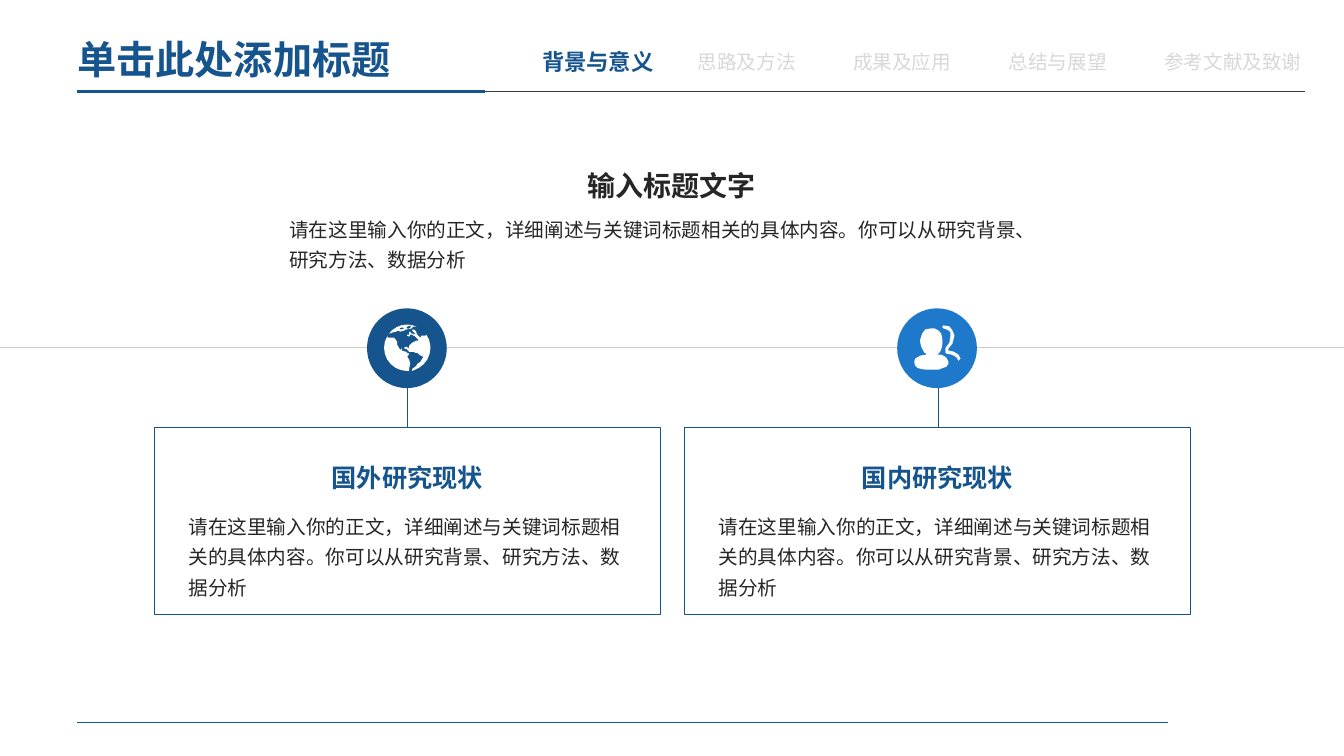
"""Builds a research background slide with two linked cards."""
from pptx import Presentation
from pptx.dml.color import RGBColor
from pptx.enum.shapes import MSO_CONNECTOR, MSO_SHAPE
from pptx.enum.text import MSO_ANCHOR, MSO_AUTO_SIZE, PP_ALIGN
from pptx.oxml.xmlchemy import OxmlElement
from pptx.util import Cm, Pt

NAVY = RGBColor(0x15, 0x54, 0x8D)
BLUE = RGBColor(0x1F, 0x79, 0xCA)
INK = RGBColor(0x26, 0x26, 0x26)
SLATE = RGBColor(0x37, 0x3D, 0x43)
GREY = RGBColor(0xCC, 0xCC, 0xCC)
PALE = RGBColor(0xD8, 0xD8, 0xD8)
WHITE = RGBColor(0xFF, 0xFF, 0xFF)
SANS = "Noto Sans CJK SC"
BODY = "请在这里输入你的正文，详细阐述与关键词标题相关的具体内容。你可以从研究背景、研究方法、数据分析"

GLOBE = [
    [(4, 11), (3, 12), (4, 13), (7, 13), (10, 13), (13, 17), (13, 20), (16, 25), (17, 25),
     (17, 23), (18, 26), (22, 27), (23, 28), (25, 29), (23, 32), (25, 35), (26, 39),
     (25, 43), (25, 46), (22, 46), (17, 45.2), (11.5, 43), (6.7, 39.3), (3, 34.5),
     (0.8, 29), (0, 23), (0.8, 17), (3, 12)],
    [(28, 5), (30, 5), (32, 7), (32, 8), (33, 10), (35, 12), (36, 13), (37, 11), (41, 11),
     (42, 10), (44.6, 15), (45.8, 20), (46, 23), (45.2, 29), (43, 34.5), (39.3, 39.3),
     (34.5, 43), (28, 46), (28, 44), (32, 41), (33, 39), (36, 37), (39, 32), (35, 30),
     (33, 28), (31, 28), (29, 27), (25, 27), (24, 26), (23, 25), (23, 24), (21, 24),
     (21, 25), (20, 23), (22, 22), (24, 23), (25, 23), (25, 21), (28, 18), (32, 16),
     (34, 16), (34, 15), (31, 12), (30, 11), (29, 11), (28, 10), (26, 10), (25, 12),
     (23, 11), (23, 10), (25, 10), (25, 7), (27, 8), (27, 9), (29, 9), (30, 10),
     (31, 9), (30, 8), (28, 6)],
    [(17, 3), (15, 4), (17, 5), (20, 4), (19, 3), (18, 3)],
    [(26, 1), (23, 2), (22, 3), (23, 4), (25, 4), (27, 2)],
    [(23, 0), (27.5, 0.5), (32, 2), (29, 2), (28, 3), (27, 4), (22, 5), (21, 5), (20, 6),
     (16, 7), (14, 6), (12, 7), (8, 8), (5, 9), (8, 5.5), (12.5, 2.5), (17.5, 0.6)],
]
PEOPLE = [
    [(23, 29), (24, 28), (25.5, 26.5), (26.5, 24.5), (27.5, 21.5), (28, 18), (28, 14),
     (27, 9), (26, 7), (24, 5), (22, 4), (20, 3), (17, 3), (11, 4), (8, 8), (6, 14),
     (6, 17), (7, 21), (8, 23), (9, 25), (10, 27), (12, 28), (12, 29), (6, 30), (1, 33),
     (0, 36), (0.7, 39.5), (3.5, 42.3), (9, 43.7), (17, 44), (24, 44), (29, 42),
     (32, 41), (34, 38), (34, 36), (33, 34), (32, 32), (29, 30), (26, 29)],
    [(44, 35), (43, 34), (43, 33), (41, 31), (37, 29), (32, 28), (31, 27), (31, 23),
     (32, 21), (35, 17), (36, 10), (36, 7), (34, 5), (32, 4), (29, 3), (28, 2), (28, 1),
     (29, 0), (35, 1), (38, 5), (40, 10), (38, 18), (34, 23), (34, 25), (39, 26),
     (44, 29), (46, 33), (45, 34)],
]

deck = Presentation()
deck.slide_width, deck.slide_height = Cm(33.87), Cm(19.05)
slide = deck.slides.add_slide(deck.slide_layouts[6])
shapes = slide.shapes


def write(text, left, top, width, height, size=14, color=INK, bold=False, font=SANS,
          align=None, wrap=False, space=None, anchor=MSO_ANCHOR.TOP,
          fit=MSO_AUTO_SIZE.SHAPE_TO_FIT_TEXT):
    box = shapes.add_textbox(Cm(left), Cm(top), Cm(width), Cm(height))
    frame = box.text_frame
    frame.word_wrap = wrap
    frame.auto_size = fit
    frame.vertical_anchor = anchor
    para = frame.paragraphs[0]
    para.alignment = align
    para.line_spacing = space
    run = para.add_run()
    run.text = text
    run.font.size = Pt(size)
    run.font.bold = bold
    run.font.color.rgb = color
    run.font.name = font
    east = OxmlElement("a:ea")
    east.set("typeface", SANS)
    run.font._element.append(east)


def paint(shape, fill=None, line=None):
    shape.shadow.inherit = False
    if fill is None:
        shape.fill.background()
    else:
        shape.fill.solid()
        shape.fill.fore_color.rgb = fill
    if line is None:
        shape.line.fill.background()
    else:
        shape.line.color.rgb = line
        shape.line.width = Pt(1)


for x1, y1, x2, y2, color, width in [
    (0, 8.76, 33.87, 8.76, GREY, 0.5),
    (10.26, 10.77, 10.26, 9.78, NAVY, 0.5),
    (23.65, 10.77, 23.65, 9.78, NAVY, 0.5),
    (1.93, 2.31, 32.89, 2.31, SLATE, 0.5),
    (1.93, 18.19, 29.44, 18.19, NAVY, 0.5),
    (1.93, 2.31, 12.22, 2.31, NAVY, 1.75),
]:
    rule = shapes.add_connector(MSO_CONNECTOR.STRAIGHT, Cm(x1), Cm(y1), Cm(x2), Cm(y2))
    rule.line.color.rgb = color
    rule.line.width = Pt(width)
    rule._element.spPr.append(OxmlElement("a:effectLst"))

write("单击此处添加标题", 1.7, 0.89, 8.48, 1.35, size=28, color=NAVY, bold=True, space=0.9)

for i, label in enumerate(["背景与意义", "思路及方法", "成果及应用", "总结与展望", "参考文献及致谢"]):
    active = i == 0
    write(label, 13.41 + 3.92 * i, 1.04, 3.78, 1.02, size=16 if active else 14,
          color=NAVY if active else PALE, bold=active, font="Arial",
          anchor=MSO_ANCHOR.MIDDLE, fit=MSO_AUTO_SIZE.NONE)

write("输入标题文字", 14.53, 4.11, 4.78, 1.12, size=20, bold=True, align=PP_ALIGN.CENTER)
write(BODY, 7.04, 5.18, 19.81, 1.73, wrap=True, space=1.3)

for i, (title, tint, icon, left, top) in enumerate([
    ("国外研究现状", NAVY, GLOBE, 9.68, 8.18),
    ("国内研究现状", BLUE, PEOPLE, 23.04, 8.2),
]):
    shift = 13.36 * i
    disc = shapes.add_shape(MSO_SHAPE.OVAL, Cm(9.25 + shift), Cm(7.77), Cm(2.01), Cm(2.01))
    paint(disc, fill=tint)

    pen = shapes.build_freeform(scale=Cm(0.0254) / 10)
    for ring in icon:
        dots = [(round(x * 10), round(y * 10)) for x, y in ring]
        pen.move_to(*dots[0])
        pen.add_line_segments(dots[1:], close=True)
    paint(pen.convert_to_shape(Cm(left), Cm(top)), fill=WHITE)

    card = shapes.add_shape(MSO_SHAPE.RECTANGLE, Cm(3.89 + shift), Cm(10.77), Cm(12.75), Cm(4.72))
    paint(card, line=NAVY)
    write(title, 8.08 + shift, 11.53, 4.37, 1.02, size=18, color=NAVY, bold=True,
          align=PP_ALIGN.CENTER)
    write(BODY, 4.5 + shift, 12.67, 11.53, 2.51, wrap=True, space=1.3)

deck.save("out.pptx")
